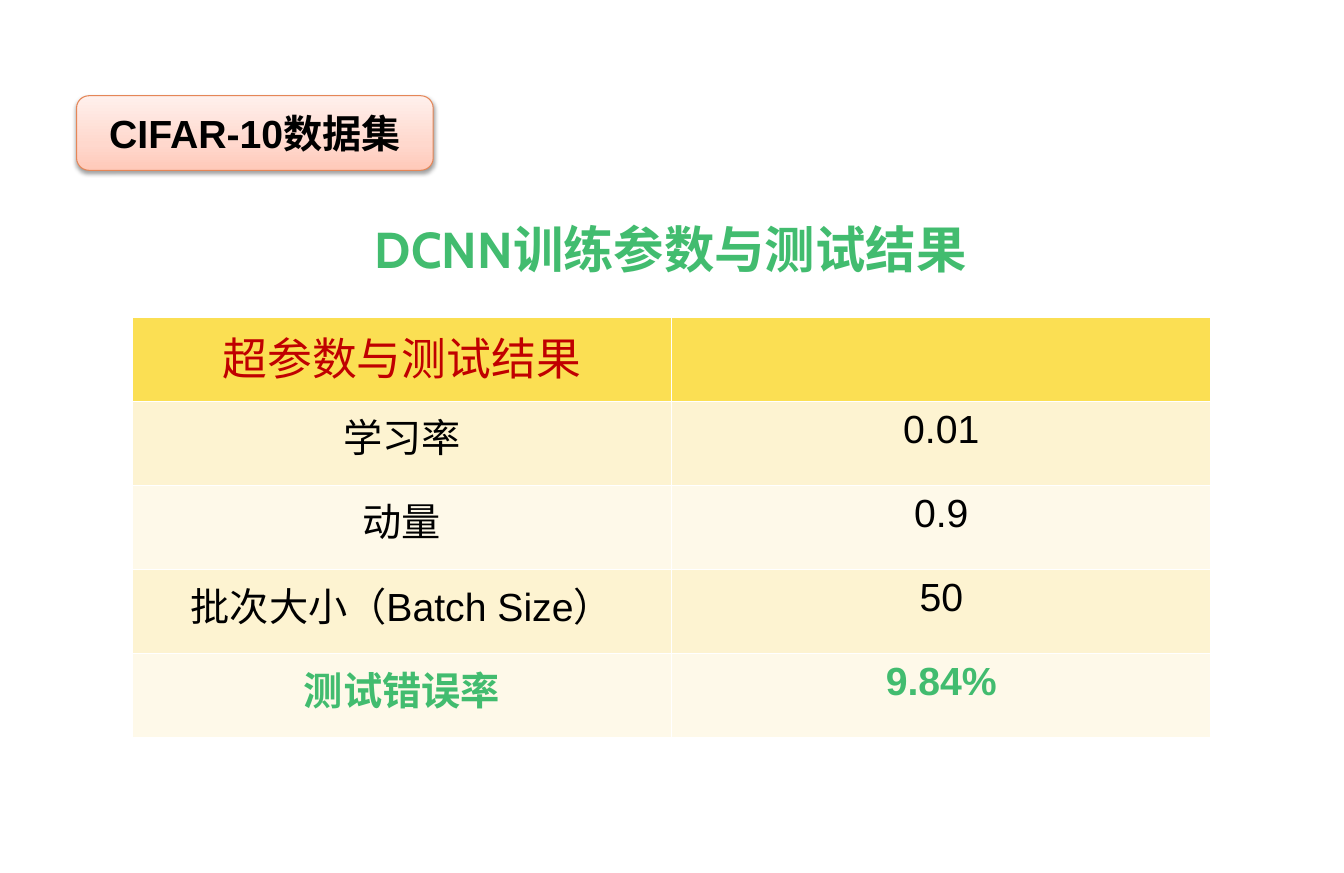
from dataclasses import dataclass

from pptx import Presentation
from pptx.dml.color import RGBColor
from pptx.enum.shapes import MSO_SHAPE as Shape
from pptx.enum.text import MSO_ANCHOR as Anchor, PP_ALIGN as Align
from pptx.oxml import parse_xml
from pptx.oxml.ns import nsdecls
from pptx.slide import Slide
from pptx.table import _Cell as Cell
from pptx.text.text import TextFrame
from pptx.util import Cm, Inches, Pt


@dataclass(frozen=True)
class Theme:
    font: str = "Arial"
    title_font: str = "Cabin"
    title_size: int = 36
    header_size: int = 32
    body_size: int = 28
    black: str = "000000"
    white: str = "FFFFFF"
    green: str = "42BC6F"
    red: str = "C00000"
    header_fill: str = "FBDF53"
    bands: tuple[str, str] = ("FDF3D1", "FEF9E9")
    badge_line: str = "E58657"
    badge_stops: tuple[tuple[int, str], ...] = ((0, "FFC9B9"), (35, "FFD8CD"), (100, "FFF0EC"))


@dataclass(frozen=True)
class Box:
    left: float
    top: float
    width: float
    height: float

    def lengths(self) -> tuple[Inches, Inches, Inches, Inches]:
        """Return the box as slide lengths."""
        return Inches(self.left), Inches(self.top), Inches(self.width), Inches(self.height)


@dataclass(frozen=True)
class ResultRow:
    label: str
    value: str
    size: int
    color: str
    fill: str
    bold: bool = False


THEME = Theme()
TITLE_BOX = Box(3.6, 2.13, 7.17, 0.66)
TABLE_BOX = Box(1.31, 3.15, 10.71, 4.17)
BADGE_BOX = Box(0.76, 0.95, 3.54, 0.74)
MARGIN_X, MARGIN_Y = Inches(0.12), Inches(0.06)
ROWS = [
    ResultRow("超参数与测试结果", "", THEME.header_size, THEME.red, THEME.header_fill),
    ResultRow("学习率", "0.01", THEME.body_size, THEME.black, THEME.bands[0]),
    ResultRow("动量", "0.9", THEME.body_size, THEME.black, THEME.bands[1]),
    ResultRow("批次大小（Batch Size）", "50", THEME.body_size, THEME.black, THEME.bands[0]),
    ResultRow("测试错误率", "9.84%", THEME.body_size, THEME.green, THEME.bands[1], bold=True),
]


def write_text(frame: TextFrame, text: str, *, size: int, color: str, font: str = THEME.font,
               bold: bool = False, align: Align = Align.CENTER) -> None:
    """Write one formatted paragraph into a text frame."""
    if not text:
        return
    paragraph = frame.paragraphs[0]
    paragraph.alignment = align
    run = paragraph.add_run()
    run.text = text
    run.font.name = font
    run.font.size = Pt(size)
    run.font.bold = bold
    run.font.color.rgb = RGBColor.from_string(color)


def set_margins(holder: TextFrame | Cell) -> None:
    """Give a text frame or a cell the common inner margins."""
    holder.margin_left = holder.margin_right = MARGIN_X
    holder.margin_top = holder.margin_bottom = MARGIN_Y


def set_borders(cell: Cell) -> None:
    """Draw thin white borders round a cell."""
    properties = cell._tc.get_or_add_tcPr()
    for side in "LRTB":
        properties.append(parse_xml(
            f'<a:ln{side} {nsdecls("a")} w="{Pt(1)}"><a:solidFill>'
            f'<a:srgbClr val="{THEME.white}"/></a:solidFill></a:ln{side}>'))


def add_title(slide: Slide) -> None:
    """Add the slide heading."""
    frame = slide.shapes.add_textbox(*TITLE_BOX.lengths()).text_frame
    frame.word_wrap = True
    frame.vertical_anchor = Anchor.MIDDLE
    set_margins(frame)
    write_text(frame, "DCNN训练参数与测试结果", size=THEME.title_size, color=THEME.green,
               font=THEME.title_font, bold=True, align=Align.LEFT)


def add_results(slide: Slide) -> None:
    """Add the table of hyperparameters and test results."""
    table = slide.shapes.add_table(len(ROWS), 2, *TABLE_BOX.lengths()).table
    for index, row in enumerate(ROWS):
        for column, text in enumerate((row.label, row.value)):
            cell = table.cell(index, column)
            set_margins(cell)
            set_borders(cell)
            cell.fill.solid()
            cell.fill.fore_color.rgb = RGBColor.from_string(row.fill)
            write_text(cell.text_frame, text, size=row.size, color=row.color, bold=row.bold)


def add_badge(slide: Slide) -> None:
    """Add the shaded data set badge."""
    shape = slide.shapes.add_shape(Shape.ROUNDED_RECTANGLE, *BADGE_BOX.lengths())
    properties = shape._element.spPr
    stops = "".join(f'<a:gs pos="{position * 1000}"><a:srgbClr val="{color}"/></a:gs>'
                    for position, color in THEME.badge_stops)
    properties.append(parse_xml(
        f'<a:gradFill {nsdecls("a")} rotWithShape="1"><a:gsLst>{stops}</a:gsLst>'
        '<a:lin ang="16200000" scaled="0"/></a:gradFill>'))
    shape.line.color.rgb = RGBColor.from_string(THEME.badge_line)
    shape.line.width = Pt(0.75)
    shape.shadow.inherit = False
    properties[-1].append(parse_xml(
        f'<a:outerShdw {nsdecls("a")} blurRad="{Pt(3.1)}" dist="{Pt(1.6)}" dir="5400000" '
        f'rotWithShape="0"><a:srgbClr val="{THEME.black}"><a:alpha val="38000"/>'
        '</a:srgbClr></a:outerShdw>'))
    frame = shape.text_frame
    frame.word_wrap = True
    frame.vertical_anchor = Anchor.MIDDLE
    set_margins(frame)
    write_text(frame, "CIFAR-10数据集", size=THEME.body_size, color=THEME.black, bold=True)


def main() -> None:
    """Build and save the presentation."""
    presentation = Presentation()
    presentation.slide_width = Cm(33.88)
    presentation.slide_height = Cm(22)
    presentation.element.sldSz.attrib.pop("type", None)
    slide = presentation.slides.add_slide(presentation.slide_layouts[6])
    add_title(slide)
    add_results(slide)
    add_badge(slide)
    presentation.save("out.pptx")


if __name__ == "__main__":
    main()
